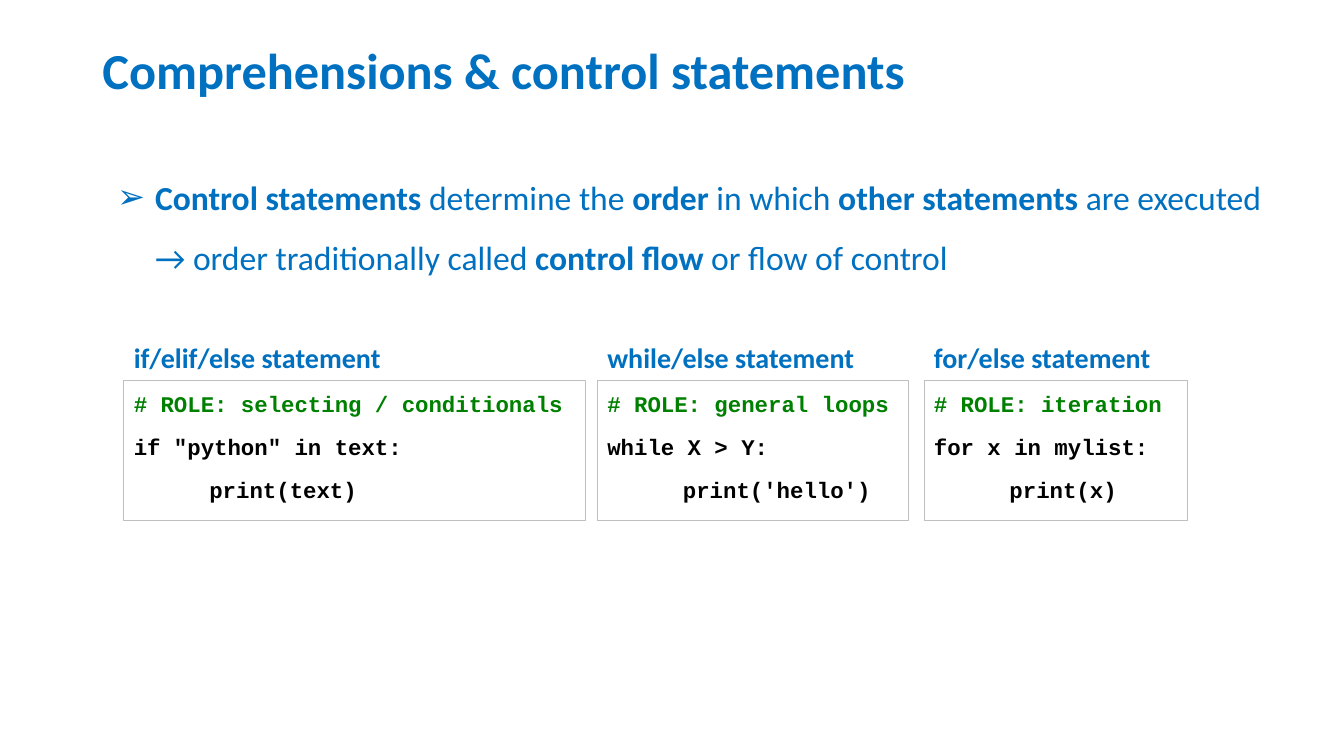
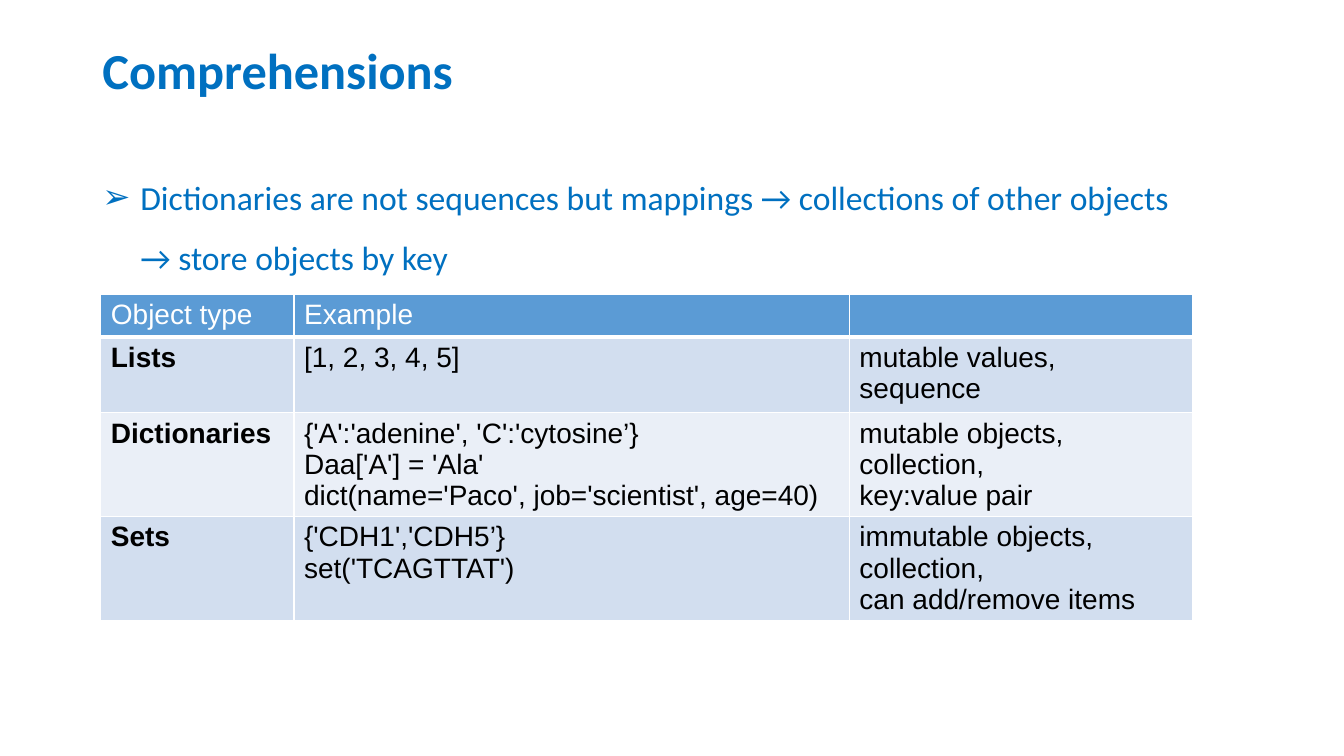
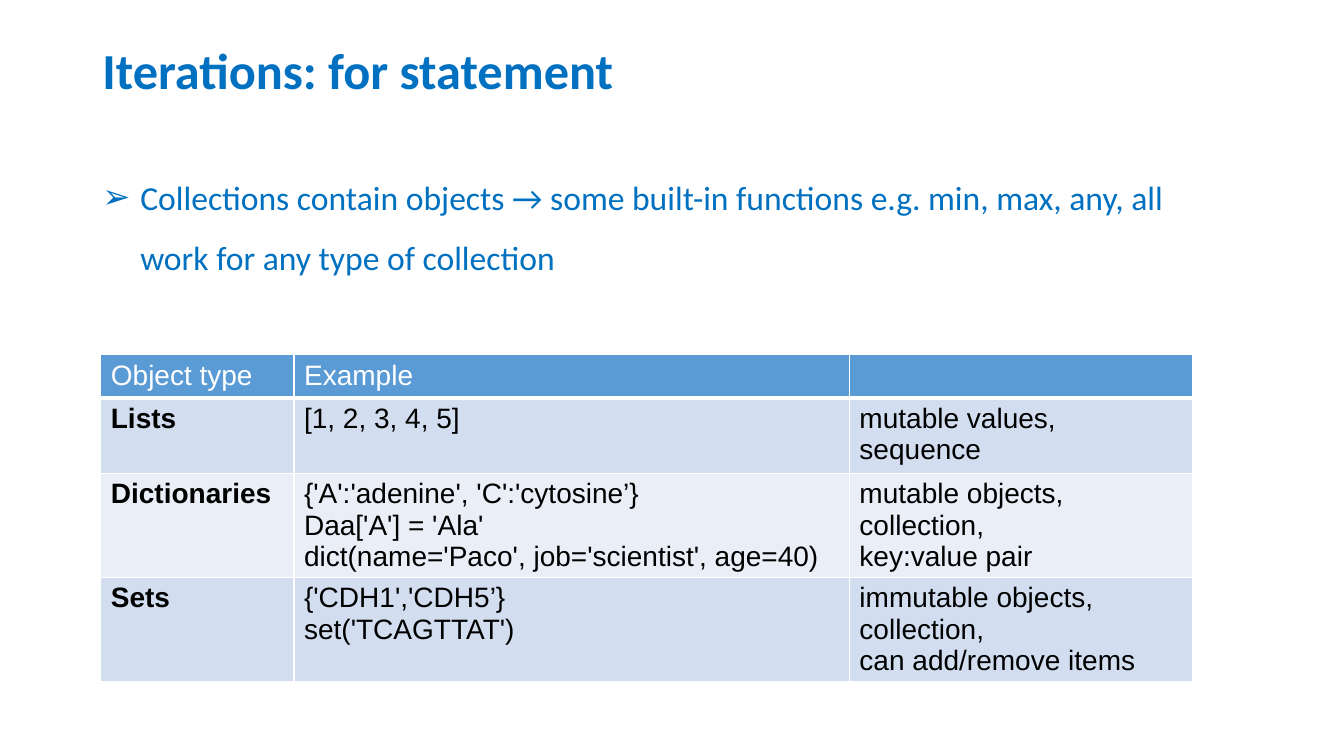
from lxml import etree
from pptx import Presentation
from pptx.dml.color import RGBColor
from pptx.enum.shapes import MSO_SHAPE
from pptx.enum.text import MSO_ANCHOR, MSO_AUTO_SIZE, PP_ALIGN
from pptx.oxml.ns import qn
from pptx.util import Pt

RECTANGLE = MSO_SHAPE.RECTANGLE
TOP, MIDDLE = MSO_ANCHOR.TOP, MSO_ANCHOR.MIDDLE
LEFT = PP_ALIGN.LEFT
NO_FIT = MSO_AUTO_SIZE.NONE

# Shared style
EMU_PER_PX = 9525
BLUE, GREEN, BLACK, WHITE, GREY = "0070C0", "008000", "000000", "FFFFFF", "BFBFBF"
HEADER_FILL, BAND_FILLS = "5B9BD5", ("D2DEEF", "EAEFF7")
TEXT_FONT, CODE_FONT, TABLE_FONT = "Calibri", "Courier New", "Arial"
TITLE_BOX = (88, 0, 1104, 139)
BODY_BOX = (88, 144, 1104, 457)
BULLET_INDENT = 36
CODE_TAB = 72

# Control statements: left, width, heading, code lines
STATEMENTS = [
    (118, 440, "if/elif/else statement",
     ["# ROLE: selecting / conditionals", 'if "python" in text:', "\tprint(text)"]),
    (569, 296, "while/else statement",
     ["# ROLE: general loops", "while X > Y:", "\tprint('hello')"]),
    (880, 251, "for/else statement",
     ["# ROLE: iteration", "for x in mylist:", "\tprint(x)"]),
]
HEADING_TOP, HEADING_HEIGHT, CODE_HEIGHT = 320, 42, 134

# Object types table
COLUMN_WIDTHS = (184, 529, 327)
ROW_HEIGHTS = (41, 72, 99, 99)
OBJECT_TYPES = [
    ("Object type", "Example", ""),
    ("Lists", "[1, 2, 3, 4, 5]", "mutable values,\nsequence"),
    ("Dictionaries",
     "{'A':'adenine', 'C':'cytosine’}\nDaa['A'] = 'Ala'\n"
     "dict(name='Paco', job='scientist', age=40)",
     "mutable objects,\ncollection,\nkey:value pair"),
    ("Sets", "{'CDH1','CDH5’}\nset('TCAGTTAT')",
     "immutable objects,\ncollection,\ncan add/remove items"),
]


def px(length):
    return length * EMU_PER_PX


def color(value):
    return RGBColor.from_string(value)


def place(box, bounds):
    box.left, box.top, box.width, box.height = map(px, bounds)


def format_runs(para, font, size, shade, bold=False):
    for span in para.runs:
        span.font.name = font
        span.font.size = Pt(size)
        span.font.bold = bold
        span.font.color.rgb = color(shade)


def add_title(slide, text):
    frame = slide.shapes.title.text_frame
    frame.text = text
    frame.vertical_anchor = MIDDLE
    frame.auto_size = NO_FIT
    para = frame.paragraphs[0]
    para.alignment = LEFT
    para.line_spacing = 0.9
    format_runs(para, TEXT_FONT, 36, BLUE, True)


def add_bullet(slide, text):
    """Fill the body; ** toggles bold and a newline breaks the line."""
    frame = slide.placeholders[1].text_frame
    frame.auto_size = NO_FIT
    para = frame.paragraphs[0]
    bold_spans = []
    for index, chunk in enumerate(text.split("**")):
        for line_index, line in enumerate(chunk.split("\n")):
            if line_index:
                para.add_line_break()
            if line:
                span = para.add_run()
                span.text = line
                if index % 2:
                    bold_spans.append(span)
    format_runs(para, TEXT_FONT, 24, BLUE)
    for span in bold_spans:
        span.font.bold = True
    para.line_spacing = 1.5
    para.space_before = Pt(4.8)
    properties = para._p.get_or_add_pPr()
    properties.set("marL", str(px(BULLET_INDENT)))
    properties.set("indent", str(px(-BULLET_INDENT)))
    etree.SubElement(properties, qn("a:buFont"), typeface="Wingdings 2")
    properties[-1].set("typeface", "Arial")
    etree.SubElement(properties, qn("a:buChar"), char="➢")


def add_heading(slide, bounds, text):
    frame = slide.shapes.add_textbox(*map(px, bounds)).text_frame
    frame.word_wrap = True
    frame.text = text
    format_runs(frame.paragraphs[0], TEXT_FONT, 20, BLUE, True)


def add_code(slide, bounds, lines):
    box = slide.shapes.add_shape(RECTANGLE, *map(px, bounds))
    box.shadow.inherit = False
    box.fill.background()
    box.line.color.rgb = color(GREY)
    box.line.width = Pt(0.5)
    frame = box.text_frame
    frame.vertical_anchor = TOP
    frame.text = "\n".join(lines)
    for index, para in enumerate(frame.paragraphs):
        para.alignment = LEFT
        para.line_spacing = 1.2
        para.space_before = Pt(7.5)
        format_runs(para, CODE_FONT, 16, BLACK if index else GREEN, True)
        tabs = etree.SubElement(para._p.get_or_add_pPr(), qn("a:tabLst"))
        etree.SubElement(tabs, qn("a:tab"), pos=str(px(CODE_TAB)), algn="l")


def set_borders(cell, bottom_width):
    properties = cell._tc.get_or_add_tcPr()
    for index, side in enumerate(("lnL", "lnR", "lnT", "lnB")):
        width = bottom_width if side == "lnB" else 1
        line = etree.Element(qn("a:" + side), w=str(Pt(width)))
        fill = etree.SubElement(line, qn("a:solidFill"))
        etree.SubElement(fill, qn("a:srgbClr"), val=WHITE)
        properties.insert(index, line)


def add_object_table(slide, top):
    table = slide.shapes.add_table(
        len(ROW_HEIGHTS), len(COLUMN_WIDTHS), px(96), px(top),
        px(sum(COLUMN_WIDTHS)), px(sum(ROW_HEIGHTS))).table
    for column, width in zip(table.columns, COLUMN_WIDTHS):
        column.width = px(width)
    for row_index, values in enumerate(OBJECT_TYPES):
        table.rows[row_index].height = px(ROW_HEIGHTS[row_index])
        is_header = row_index == 0
        for column_index, value in enumerate(values):
            cell = table.cell(row_index, column_index)
            cell.text = value
            cell.fill.solid()
            cell.fill.fore_color.rgb = color(
                HEADER_FILL if is_header else BAND_FILLS[(row_index - 1) % 2])
            set_borders(cell, 3 if is_header else 1)
            for para in cell.text_frame.paragraphs:
                format_runs(para, TABLE_FONT, 20, WHITE if is_header else BLACK,
                            column_index == 0 and not is_header)


def add_slide(deck, title, bullet):
    slide = deck.slides.add_slide(deck.slide_layouts[1])
    add_title(slide, title)
    add_bullet(slide, bullet)
    return slide


def main():
    deck = Presentation()
    deck.slide_width, deck.slide_height = px(1280), px(720)
    layout = deck.slide_layouts[1]
    place(layout.placeholders[0], TITLE_BOX)
    place(layout.placeholders[1], BODY_BOX)

    # Control statements
    slide = add_slide(
        deck, "Comprehensions & control statements",
        "**Control statements **determine the **order** in which "
        "**other statements **are executed\n"
        "→ order traditionally called **control flow **or flow of control")
    place(slide.placeholders[1], (102, 144, 1122, 457))
    for left, width, heading, lines in STATEMENTS:
        add_code(slide, (left, HEADING_TOP + HEADING_HEIGHT, width, CODE_HEIGHT), lines)
        add_heading(slide, (left, HEADING_TOP, width, HEADING_HEIGHT), heading)

    # Mappings
    slide = add_slide(
        deck, "Comprehensions",
        "Dictionaries are not sequences but mappings → collections of other objects\n"
        "→ store objects by key")
    add_object_table(slide, 280)

    # Collections
    slide = add_slide(
        deck, "Iterations: for statement",
        "Collections contain objects → some built-in functions e.g. min, max, any, all\n"
        "work for any type of collection")
    add_object_table(slide, 338)

    deck.save("out.pptx")


if __name__ == "__main__":
    main()
